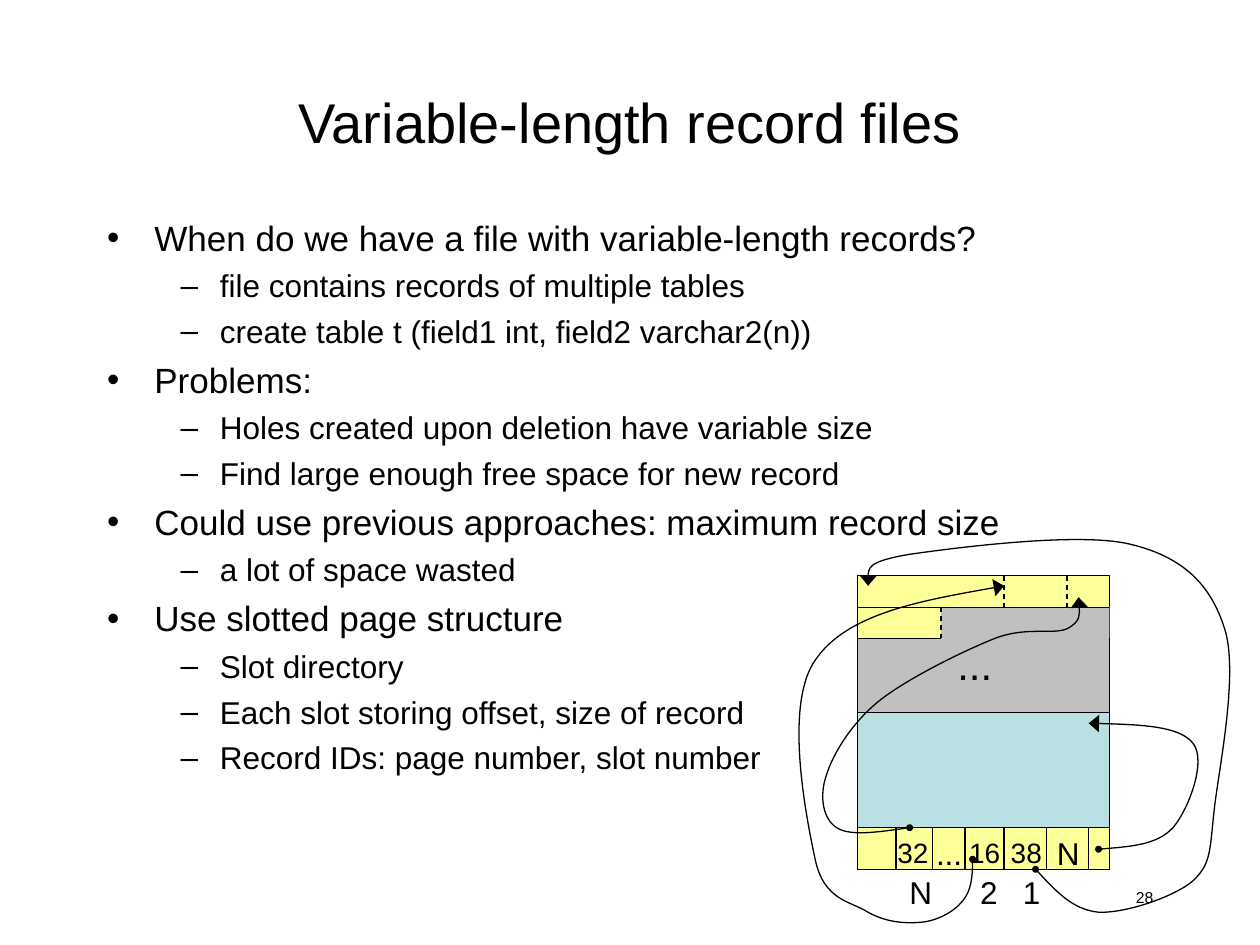
import pptx
import pptx.dml.color
import pptx.enum.dml
import pptx.enum.shapes
import pptx.enum.text
import pptx.oxml.ns
import pptx.util
from lxml import etree

Pt = pptx.util.Pt
qn = pptx.oxml.ns.qn
FONT = "Arial"
COLORS = {"ink": "000000", "record": "FFFF99", "used": "C0C0C0", "free": "BBE0E3"}

TITLE = "Variable-length record files"
OUTLINE = [
    (0, "When do we have a file with variable-length records?"),
    (1, "file contains records of multiple tables"),
    (1, "create table t (field1 int, field2 varchar2(n))"),
    (0, "Problems:"),
    (1, "Holes created upon deletion have variable size"),
    (1, "Find large enough free space for new record"),
    (0, "Could use previous approaches: maximum record size"),
    (1, "a lot of space wasted"),
    (0, "Use slotted page structure"),
    (1, "Slot directory"),
    (1, "Each slot storing offset, size of record"),
    (1, "Record IDs: page number, slot number"),
]
# Per outline level: bullet, text size, space before, left indent, hanging indent
LEVELS = [("•", 20, 5, 27, 27), ("–", 18, 4.5, 64.5, 22.5)]

# Edges of the page diagram
LEFT, RIGHT = 490, 634
TOP, ROW_2, ROW_3, FREE_TOP, SLOT_TOP, BOTTOM = 329, 347, 365, 407, 473, 497
NOTCH = 537.8
SLOT_EDGES = [512, 533, 551.5, 573.8, 598.1, 622.1]

# Label text, left, top, width, height, size
LABELS = [
    ("...", 540, 361.4, 52.6, 36, 24),
    ("...", 527.8, 473, 52.6, 28.8, 18),
    ("32", 505.7, 473.8, 33, 26.6, 16),
    ("16", 546.7, 473.8, 33, 26.6, 16),
    ("38", 570.5, 473.8, 33, 26.6, 16),
    ("N", 596.9, 473, 27.6, 28.8, 18),
    ("N", 512.6, 495.6, 27.6, 28.8, 18),
    ("2", 553, 495.6, 24.6, 28.8, 18),
    ("1", 577.4, 495.6, 24.6, 28.8, 18),
]

# Each pointer: a start point, then three points for every cubic curve
POINTERS = [
    [(627.8, 485.3),
     (644.4, 483.8), (661, 483.1), (670.3, 473),
     (679, 463), (689.8, 434.9), (681.8, 424.8),
     (673.9, 414.7), (648, 414), (622.1, 413.3)],
    [(591.8, 496.8),
     (602.6, 508.3), (612.7, 519.8), (627.8, 521.3),
     (643, 522), (671, 512.6), (681.8, 503.3),
     (692.6, 493.2), (691.2, 485.3), (694.1, 460.8),
     (697, 437), (707.8, 383.8), (699.8, 359.3),
     (691.9, 334.1), (676.1, 318.2), (645.8, 311),
     (616.3, 303.8), (545, 313.2), (519.8, 316.8),
     (494.6, 321.1), (495.4, 328.3), (496.1, 334.8)],
    [(555.8, 491),
     (555.8, 499.7), (555.1, 509), (550.1, 514.8),
     (545, 521.3), (535, 526.3), (526.3, 527),
     (517, 527.8), (506.2, 527), (496.1, 521.3),
     (486, 514.8), (470.9, 514.8), (465.8, 491),
     (460.8, 467.3), (447.8, 403.2), (465.8, 377.3),
     (483.8, 350.6), (529.2, 342.7), (573.8, 334.8)],
    [(519.8, 473),
     (503.3, 475.2), (486, 478.1), (478.1, 473),
     (470.2, 468), (468, 455), (472.3, 442.8),
     (475.9, 431.3), (486, 414), (501.8, 401),
     (517.7, 388.1), (550.1, 372.2), (568.1, 365),
     (586.1, 357.8), (601.9, 362.9), (609.8, 359.3),
     (617.8, 355), (617, 347.8), (616.3, 341.3)],
]


def color(name):
    return pptx.dml.color.RGBColor.from_string(COLORS[name])


def place(shape, left, top, width, height):
    shape.left, shape.top, shape.width, shape.height = map(Pt, (left, top, width, height))


def add_text(paragraph, text, size):
    run = paragraph.add_run()
    run.text = text
    run.font.name = FONT
    run.font.size = Pt(size)
    run.font.color.rgb = color("ink")


def style_line(line, name="ink"):
    line.color.rgb = color(name)
    line.width = Pt(0.75)


def fill_title(title):
    place(title, 54, 24, 612, 90)
    title.text_frame.vertical_anchor = pptx.enum.text.MSO_ANCHOR.MIDDLE
    paragraph = title.text_frame.paragraphs[0]
    paragraph.alignment = pptx.enum.text.PP_ALIGN.CENTER
    add_text(paragraph, TITLE, 32)


def fill_outline(body):
    place(body, 54, 120, 612, 372)
    frame = body.text_frame
    frame.auto_size = pptx.enum.text.MSO_AUTO_SIZE.NONE
    for index, (level, text) in enumerate(OUTLINE):
        bullet, size, space, indent, hanging = LEVELS[level]
        paragraph = frame.add_paragraph() if index else frame.paragraphs[0]
        paragraph.level = level
        paragraph.space_before = Pt(space if index else 0)
        properties = paragraph._p.get_or_add_pPr()
        properties.set("marL", str(Pt(indent)))
        properties.set("indent", str(-Pt(hanging)))
        etree.SubElement(properties, qn("a:buChar"), char=bullet)
        add_text(paragraph, text, size)


def add_label(shapes, text, left, top, width, height, size):
    label = shapes.add_textbox(*map(Pt, (left, top, width, height)))
    label.text_frame.word_wrap = False
    label.text_frame.auto_size = pptx.enum.text.MSO_AUTO_SIZE.SHAPE_TO_FIT_TEXT
    add_text(label.text_frame.paragraphs[0], text, size)


def add_page_number(shapes):
    box = shapes.add_textbox(Pt(516.2), Pt(504), Pt(150), Pt(24))
    box.text_frame.word_wrap = True
    paragraph = box.text_frame.paragraphs[0]
    paragraph.alignment = pptx.enum.text.PP_ALIGN.RIGHT
    add_text(paragraph, "28", 9)


def add_region(shapes, left, top, bottom, fill, outlined=True):
    """Add a block of the page that reaches its right edge."""
    region = shapes.add_shape(pptx.enum.shapes.MSO_SHAPE.RECTANGLE,
                              *map(Pt, (left, top, RIGHT - left, bottom - top)))
    region.shadow.inherit = False
    region.fill.solid()
    region.fill.fore_color.rgb = color(fill)
    if outlined:
        style_line(region.line)
    else:
        region.line.fill.background()


def add_line(shapes, start, end, name="ink", dashed=False):
    line = shapes.add_connector(pptx.enum.shapes.MSO_CONNECTOR.STRAIGHT,
                                *map(Pt, (*start, *end)))
    style_line(line.line, name)
    if dashed:
        line.line.dash_style = pptx.enum.dml.MSO_LINE.DASH
    etree.SubElement(line._element.spPr, qn("a:effectLst"))


def add_pointer(shapes, points):
    """Add a curved arrow that starts with a dot."""
    builder = shapes.build_freeform(*map(Pt, points[0]))
    builder.add_line_segments([tuple(map(Pt, point)) for point in points[1:]], close=False)
    pointer = builder.convert_to_shape()
    pointer.shadow.inherit = False
    pointer.fill.background()
    style_line(pointer.line)
    outline = pointer.line._get_or_add_ln()
    etree.SubElement(outline, qn("a:headEnd"), type="oval", w="sm", len="sm")
    etree.SubElement(outline, qn("a:tailEnd"), type="triangle", w="lg", len="med")
    # Every three straight segments become one cubic curve
    segments = list(pointer._element.iter(qn("a:lnTo")))
    track = segments[0].getparent()
    for first in range(0, len(segments), 3):
        curve = etree.SubElement(track, qn("a:cubicBezTo"))
        for segment in segments[first:first + 3]:
            curve.append(segment[0])
            track.remove(segment)


def add_page_diagram(shapes):
    add_region(shapes, LEFT, TOP, BOTTOM, "record")
    add_region(shapes, NOTCH, ROW_2, ROW_3, "used", outlined=False)
    add_region(shapes, LEFT, ROW_3, FREE_TOP, "used")
    add_region(shapes, LEFT, FREE_TOP, SLOT_TOP, "free")
    for y in (ROW_2, SLOT_TOP, BOTTOM):
        add_line(shapes, (LEFT, y), (RIGHT, y))
    for x in SLOT_EDGES:
        add_line(shapes, (x, SLOT_TOP), (x, BOTTOM))
    for x, top in [(573.8, TOP), (609.8, TOP), (NOTCH, ROW_2)]:
        add_line(shapes, (x, top), (x, top + 18), dashed=True)
    add_line(shapes, (NOTCH, ROW_3), (RIGHT, ROW_3), "used")
    for label in LABELS:
        add_label(shapes, *label)
    for points in POINTERS:
        add_pointer(shapes, points)


def main():
    presentation = pptx.Presentation()
    presentation.slide_width, presentation.slide_height = Pt(720), Pt(540)
    slide = presentation.slides.add_slide(presentation.slide_layouts[1])
    fill_title(slide.shapes.title)
    fill_outline(slide.placeholders[1])
    add_page_number(slide.shapes)
    add_page_diagram(slide.shapes.add_group_shape().shapes)
    presentation.save("out.pptx")


if __name__ == "__main__":
    main()
